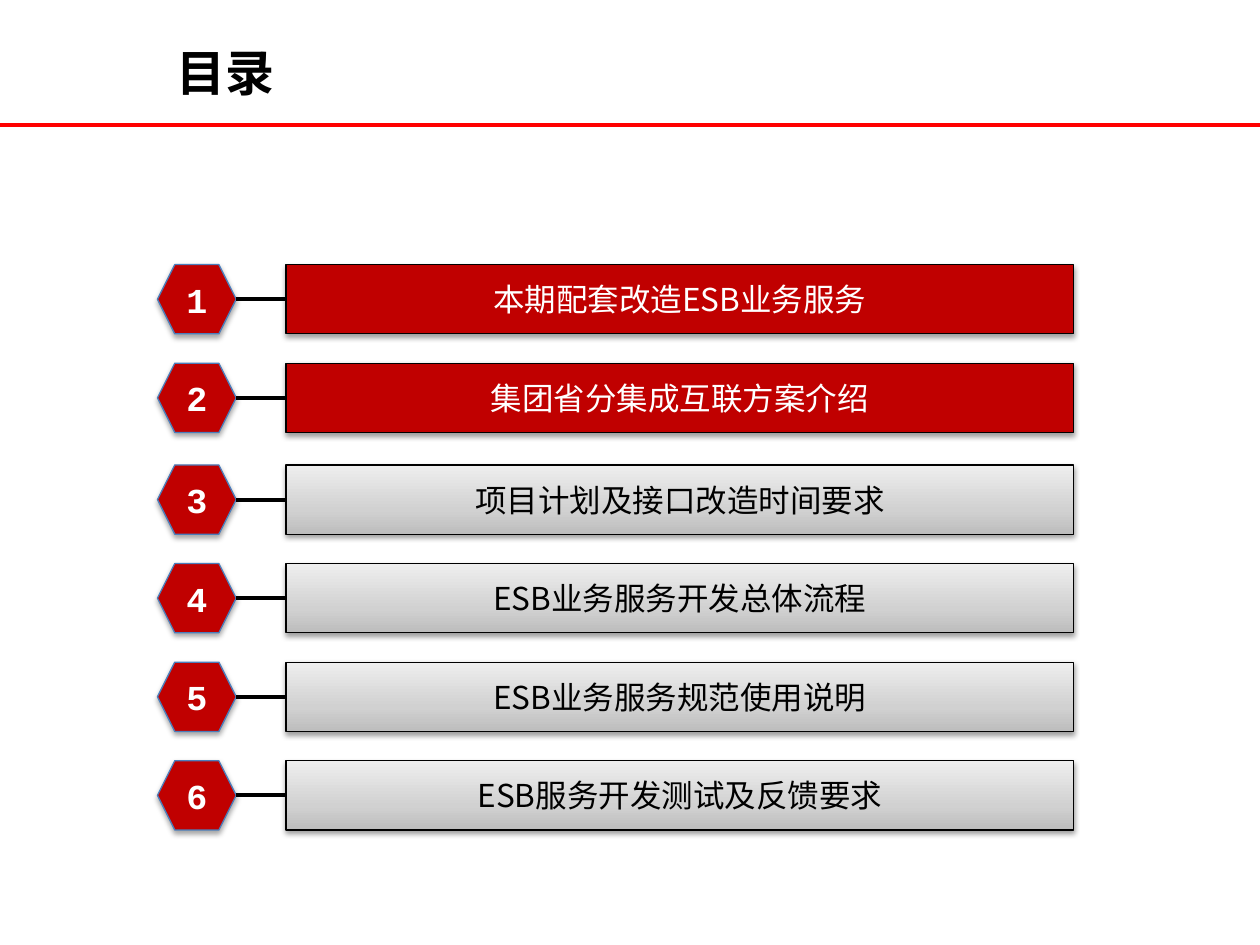
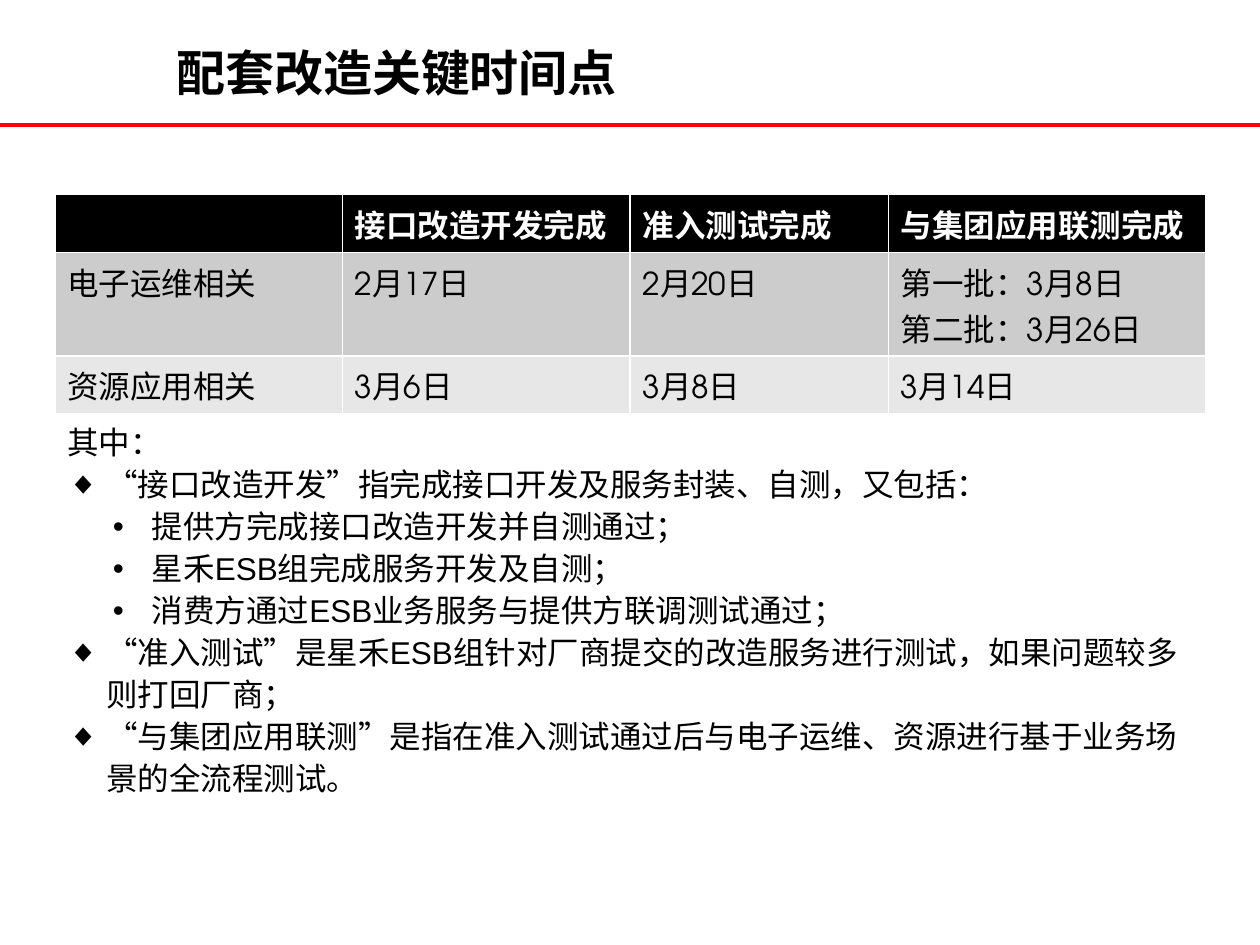
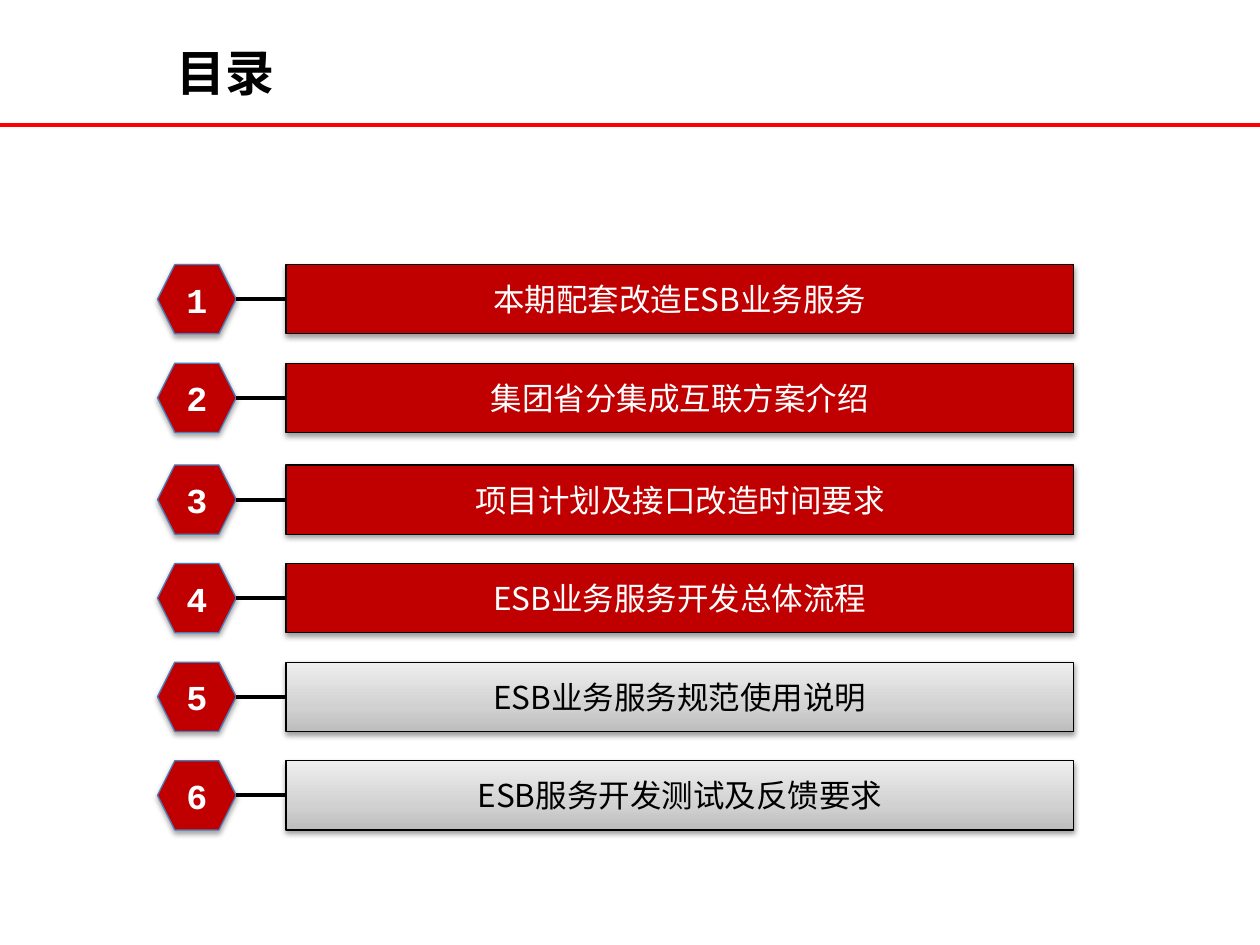
import copy

import lxml.etree
import pptx
import pptx.dml.color
import pptx.enum.lang
import pptx.enum.shapes
import pptx.enum.text
import pptx.oxml.ns
import pptx.util

COLORS = {
    "black": "000000",
    "white": "FFFFFF",
    "rule": "FF0000",
    "red": "C00000",
    "hexagon edge": "4B7EBC",
    "dark band": "CCCCCC",
    "light band": "E7E7E7",
}
BAR_GRADIENT = [(0, "BDBDBD"), (0.35, "D1D1D1"), (1, "EEEEEE")]
CHINESE_FONT = "Noto Sans CJK SC"
COLUMNS, ROWS = 40, 30

TOPICS = [
    "本期配套改造ESB业务服务",
    "集团省分集成互联方案介绍",
    "项目计划及接口改造时间要求",
    "ESB业务服务开发总体流程",
    "ESB业务服务规范使用说明",
    "ESB服务开发测试及反馈要求",
]
MILESTONES = [
    ["", "接口改造开发完成", "准入测试完成", "与集团应用联测完成"],
    ["电子运维相关", "2月17日", "2月20日", "第一批：3月8日\n第二批：3月26日"],
    ["资源应用相关", "3月6日", "3月8日", "3月14日"],
]
NOTES = [
    (None, "其中："),
    ("◆", "“接口改造开发”指完成接口开发及服务封装、自测，又包括："),
    ("•", "提供方完成接口改造开发并自测通过；"),
    ("•", "星禾ESB组完成服务开发及自测；"),
    ("•", "消费方通过ESB业务服务与提供方联调测试通过；"),
    ("◆", "“准入测试”是星禾ESB组针对厂商提交的改造服务进行测试，如果问题较多则打回厂商；"),
    ("◆", "“与集团应用联测”是指在准入测试通过后与电子运维、资源进行基于业务场景的全流程测试。"),
]
BULLET_INDENTS = {None: 0, "◆": 0.31, "•": 0.67}


def rgb(name):
    """Return the colour for a name or a hex string."""
    return pptx.dml.color.RGBColor.from_string(COLORS.get(name, name))


def add_xml(parent, tag, **attributes):
    """Append an XML element with the given attributes."""
    values = {key: str(value) for key, value in attributes.items()}
    return lxml.etree.SubElement(parent, pptx.oxml.ns.qn(tag), values)


def write(frame, text, size=18, font=CHINESE_FONT, color="black", bold=False,
          align="LEFT", anchor="TOP"):
    """Fill a text frame, one paragraph for each line of text."""
    frame.word_wrap = True
    frame.vertical_anchor = pptx.enum.text.MSO_ANCHOR[anchor]
    frame.text = text
    for para in frame.paragraphs:
        para.alignment = pptx.enum.text.PP_ALIGN[align]
        for span in para.runs:
            span.font.size = pptx.util.Pt(size)
            span.font.name = font
            span.font.bold = bold
            span.font.color.rgb = rgb(color)
            span.font.language_id = pptx.enum.lang.MSO_LANGUAGE_ID.SIMPLIFIED_CHINESE
            add_xml(span.font._element, "a:ea", typeface=CHINESE_FONT)


class Composer:
    """Holds the shared style, the deck and the current page."""

    def __init__(self):
        """Open a deck of 10 by 7.5 inches."""
        self.deck = pptx.Presentation()
        self.deck.slide_width = pptx.util.Inches(10)
        self.deck.slide_height = pptx.util.Inches(7.5)
        self.page = None

    def x(self, columns):
        """Turn grid columns into a length."""
        return round(self.deck.slide_width * columns / COLUMNS)

    def y(self, rows):
        """Turn grid rows into a length."""
        return round(self.deck.slide_height * rows / ROWS)

    def place(self, left, top, width, height):
        """Turn a grid rectangle into lengths."""
        return self.x(left), self.y(top), self.x(width), self.y(height)

    def move(self, box, *area):
        """Move a box to a grid rectangle."""
        box.left, box.top, box.width, box.height = self.place(*area)

    def start_page(self, title, layout="Title Only"):
        """Add a page with its title."""
        self.page = self.deck.slides.add_slide(self.deck.slide_layouts.get_by_name(layout))
        box = self.page.shapes.title
        self.move(box, 5.2, 0.5, 27.08, 2.92)
        box.text_frame.auto_size = pptx.enum.text.MSO_AUTO_SIZE.NONE
        write(box.text_frame, title, size=28, font="DejaVu Sans", bold=True, anchor="BOTTOM")

    def line(self, left, right, row, color="black", width=2.25):
        """Draw a horizontal line."""
        connector = self.page.shapes.add_connector(
            pptx.enum.shapes.MSO_CONNECTOR.STRAIGHT,
            self.x(left), self.y(row), self.x(right), self.y(row))
        connector.line.color.rgb = rgb(color)
        connector.line.width = pptx.util.Pt(width)
        add_xml(connector.element.spPr, "a:effectLst")
        return connector

    def master_rule(self):
        """Put the rule under the titles on the slide master."""
        rule = self.line(0, COLUMNS, 3.97, color="rule", width=2)
        self.deck.slide_master.shapes.element.append(rule.element)

    def shape(self, kind, area, text, fill="red", edge="black", shadow=(1.6, 38), **format):
        """Draw a shadowed preset shape with centred text."""
        box = self.page.shapes.add_shape(
            pptx.enum.shapes.MSO_SHAPE[kind], *self.place(*area))
        if fill == "gradient":
            self.fill_gradient(box)
        else:
            box.fill.solid()
            box.fill.fore_color.rgb = rgb(fill)
        box.line.color.rgb = rgb(edge)
        box.line.width = pptx.util.Pt(0.75)
        self.cast_shadow(box, *shadow)
        write(box.text_frame, text, align="CENTER", anchor="MIDDLE", **format)

    def fill_gradient(self, box):
        """Fill a box with the grey gradient, darkest at the bottom."""
        box.fill.gradient()
        box.fill.gradient_angle = 90
        stop_list = next(box.element.spPr.iter(pptx.oxml.ns.qn("a:gsLst")))
        stop_list.insert(1, copy.deepcopy(stop_list[0]))
        for stop, (position, color) in zip(box.fill.gradient_stops, BAR_GRADIENT):
            stop.position = position
            stop.color.rgb = rgb(color)

    def cast_shadow(self, box, distance, opacity):
        """Give a box a soft shadow below it."""
        box.shadow.inherit = False
        effects = box.element.spPr.find(pptx.oxml.ns.qn("a:effectLst"))
        outer = add_xml(effects, "a:outerShdw", blurRad=pptx.util.Pt(3.1),
                        dist=pptx.util.Pt(distance), dir=90 * 60000, rotWithShape=0)
        shade = add_xml(outer, "a:srgbClr", val=COLORS["black"])
        add_xml(shade, "a:alpha", val=opacity * 1000)

    def table(self, left, top, widths, heights, values):
        """Draw a table with a black header and grey bands."""
        area = self.place(left, top, sum(widths), sum(heights))
        table = self.page.shapes.add_table(len(heights), len(widths), *area).table
        for column, width in zip(table.columns, widths):
            column.width = self.x(width)
        fills = ["black", "dark band", "light band"]
        for row, height, texts, fill in zip(table.rows, heights, values, fills):
            row.height = self.y(height)
            header = fill == "black"
            for cell, text in zip(row.cells, texts):
                cell.fill.solid()
                cell.fill.fore_color.rgb = rgb(fill)
                if text:
                    write(cell.text_frame, text, font="TeX Gyre Adventor", bold=header,
                          color="white" if header else "black")

    def bullets(self, area, items):
        """Fill the body placeholder with a bulleted list."""
        box = self.page.placeholders[1]
        self.move(box, *area)
        write(box.text_frame, "\n".join(text for _, text in items), font="Arial")
        box.text_frame.auto_size = pptx.enum.text.MSO_AUTO_SIZE.SHAPE_TO_FIT_TEXT
        for para, (mark, _) in zip(box.text_frame.paragraphs, items):
            para.line_spacing = pptx.util.Pt(24)
            para.space_before = pptx.util.Pt(0)
            properties = para._p.get_or_add_pPr()
            properties.set("marL", str(pptx.util.Inches(BULLET_INDENTS[mark])))
            properties.set("indent", str(pptx.util.Inches(-0.31 if mark else 0)))
            if mark:
                add_xml(properties, "a:buFont", typeface="Arial")
                add_xml(properties, "a:buChar", char=mark)
            else:
                add_xml(properties, "a:buNone")

    def agenda(self, active):
        """Build a contents page with the first topics highlighted."""
        self.start_page("目录")
        for index, topic in enumerate(TOPICS):
            top = 8.4 + 3.13 * index + (0.1 if index > 1 else 0)
            highlighted = index < active
            self.shape("HEXAGON", (5, top, 2.5, 2.2), str(index + 1), edge="hexagon edge",
                       shadow=(1.8, 35), size=20, font="Courier New", color="white", bold=True)
            self.shape("RECTANGLE", (9.08, top, 25, 2.2), topic,
                       fill="red" if highlighted else "gradient",
                       color="white" if highlighted else "black")
            self.line(7.5, 9.08, top + 1.1)

    def schedule(self):
        """Build the page of key dates."""
        self.start_page("配套改造关键时间点", layout="Title and Content")
        self.table(1.74, 6.18, [9.13, 9.13, 8.2, 10.08], [1.84, 3.28, 1.84], MILESTONES)
        self.bullets((1.74, 13.1, 36.64, 12.44), NOTES)


def main():
    """Build the three pages and save the deck."""
    composer = Composer()
    composer.agenda(active=2)
    composer.master_rule()
    composer.schedule()
    composer.agenda(active=4)
    composer.deck.save("out.pptx")


if __name__ == "__main__":
    main()
